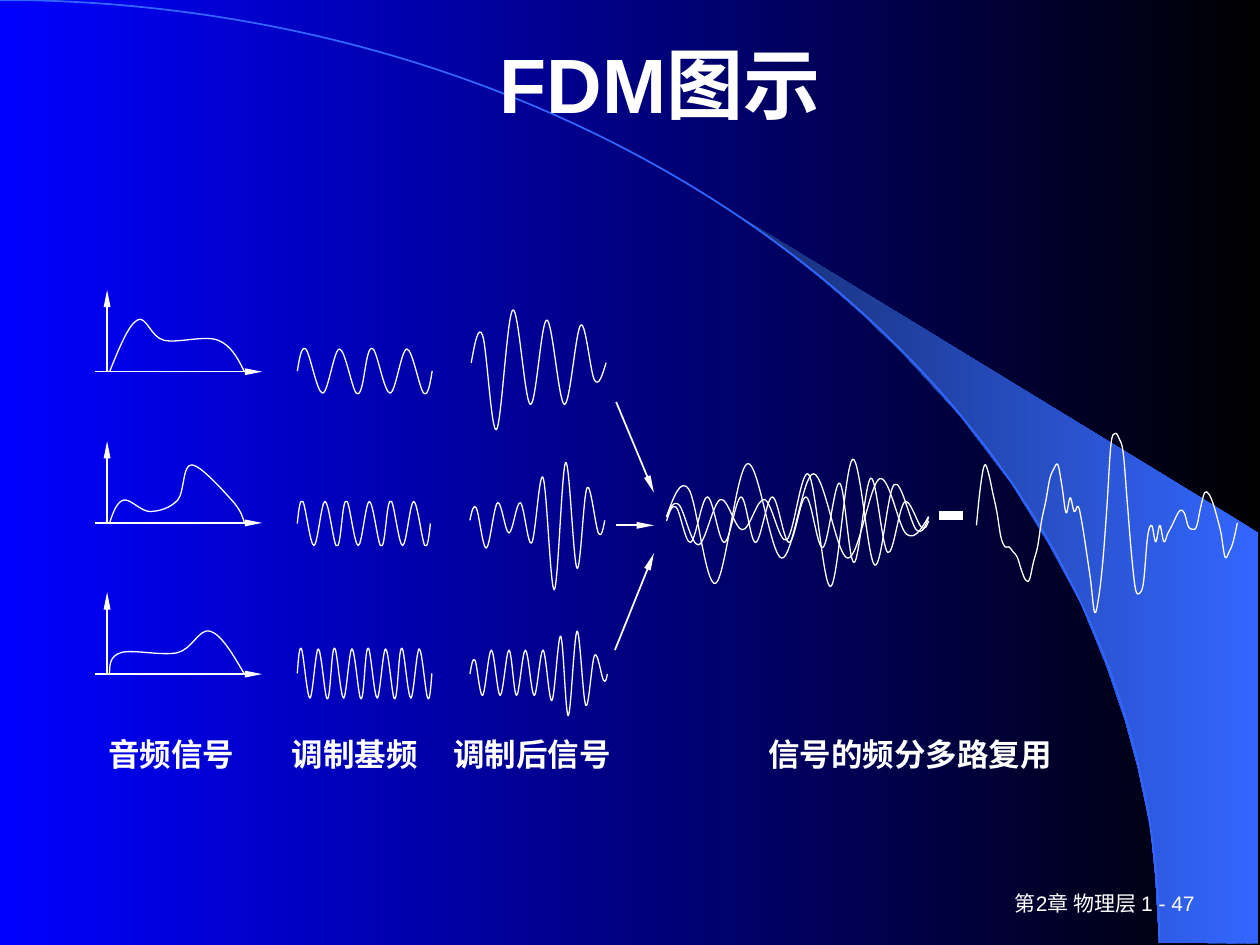
from lxml import etree
from pptx import Presentation
from pptx import util as u
from pptx.dml.color import RGBColor
from pptx.enum import shapes as kinds, text
from pptx.oxml.ns import qn

COLORS = {"ink": "FFFFFF", "night": "000000", "blue": "0000FF",
          "sky": "3366FF", "navy": "172F75"}
GRID = 0.72  # points per unit of the drawing grid used for curves and outlines
FONT = "Arial"

TITLE = ("FDM图示", (71.3, 15.1, 612, 64.8))
FOOTER = ("第2章 物理层 1 - 47", (540, 504, 149.8, 23.8))
LABEL_TOP, LABEL_HEIGHT = 416.2, 28.8
LABELS = [("音频信号", 54.7, 90.7), ("调制基频", 159.8, 90.7),
          ("调制后信号", 252, 107.3), ("信号的频分多路复用", 432, 198)]

WEDGE = [(920, 748), (999, 749), (999, 423), (589, 173), (624, 199), (653, 222),
         (685, 250), (716, 280), (762, 330), (803, 384), (832, 431), (858, 479),
         (878, 528), (893, 572), (903, 609), (913, 656), (917, 696)]

# Audio spectra, each above its own pair of axes
AUDIO = [
    [(87, 295), (109, 254), (130, 270), (173, 270), (194, 295)],
    [(87, 415), (98, 397), (119, 406), (141, 397), (152, 369), (184, 397), (194, 415)],
    [(87, 535), (96, 518), (141, 518), (167, 501), (194, 535)],
]
AXIS_LEFT, AXIS_X, AXIS_RIGHT = 54, 61.2, 149.8
AXIS_BASE, AXIS_HEIGHT, ROW_STEP = 212.4, 46.8, 86.4

# Carriers: middle line, amplitude, number of two-cycle pieces, piece width
CARRIER_LEFT = 236
CARRIERS = [(294.5, 17.5, 2, 53.5), (415.5, 17.5, 3, 35.2), (534.5, 19.5, 4, 26.7)]

# Modulated signals and the shift that brings each to the shared channel
MODULATED = [
    (122, [(374, 288), (383, 266), (394, 341), (407, 246), (421, 321), (434, 254),
           (448, 321), (461, 258), (472, 302), (481, 288)]),
    (-2.5, [(373, 413), (378, 403), (386, 435), (395, 399), (404, 423), (413, 399),
            (422, 431), (431, 379), (440, 468), (449, 367), (458, 451), (466, 387),
            (475, 423), (480, 413)]),
    (-121.5, [(373, 535), (377, 524), (383, 552), (390, 516), (397, 552), (404, 516),
              (410, 552), (417, 516), (424, 552), (431, 516), (438, 556), (445, 505),
              (451, 568), (458, 501), (465, 560), (472, 520), (479, 540), (482, 535)]),
]
CHANNEL_LEFT, CHANNEL_WIDTH = 529, 208

SUM_LEFT, SUM_WIDTH = 775, 207
SUM_HEIGHTS = [
    417, 386, 369, 376, 391, 406, 426, 434, 434, 438, 442, 452, 460, 460, 446, 434, 413,
    398, 380, 372, 369, 386, 407, 395, 406, 402, 417, 438, 460, 486, 474, 446, 403, 353,
    344, 348, 359, 398, 438, 467, 471, 462, 426, 417, 430, 417, 430, 423, 417, 410, 405,
    407, 418, 420, 418, 403, 391, 392, 399, 410, 423, 442, 438, 430, 415]

MERGE_ARROWS = [((352.1, 229.7), (373.7, 281.5)), ((352.1, 300.2), (373.7, 300.2)),
                ((351.4, 371.5), (373.7, 316.1))]
EQUALS_BAR = ((536.4, 294.5), (550.1, 294.5))


def rgb(name):
    return RGBColor.from_string(COLORS[name])


def set_all(target, values):
    for name, value in values.items():
        setattr(target, name, value)


def paint_gradient(fill, first, last):
    fill.gradient()
    fill.gradient_angle = 180
    for stop, name in zip(fill.gradient_stops, (first, last)):
        stop.color.rgb = rgb(name)


def set_line(shape, color, width):
    shape.line.color.rgb = rgb(color)
    shape.line.width = u.Pt(width)


def add_outline(slide, points, close=False):
    corners = [(u.Pt(x * GRID), u.Pt(y * GRID)) for x, y in points]
    builder = slide.shapes.build_freeform(*corners[0], scale=1.0)
    builder.add_line_segments(corners[1:], close=close)
    shape = builder.convert_to_shape()
    shape.shadow.inherit = False
    return shape


def curve_handles(knots):
    """Two control points per span; inner tangents join the neighbouring knots."""
    tangents = [((c[0] - a[0]) / 6, (c[1] - a[1]) / 6) for a, c in zip(knots, knots[2:])]
    before = [(x - dx, y - dy) for (x, y), (dx, dy) in zip(knots[1:], tangents)]
    after = [(x + dx, y + dy) for (x, y), (dx, dy) in zip(knots[1:], tangents)]

    def middle(a, b):
        return (a[0] + b[0]) / 2, (a[1] + b[1]) / 2

    starts = [middle(knots[0], before[0])] + after
    ends = before + [middle(knots[-1], after[-1])]
    return zip(starts, ends, knots[1:])


def add_curve(slide, points):
    """Smooth line through the points: an outline whose spans become Béziers."""
    shape = add_outline(slide, points)
    shape.fill.background()
    set_line(shape, "ink", 0.75)
    path = next(shape.element.iter(qn("a:path")))
    knots = [(int(p.get("x")), int(p.get("y"))) for p in path.iter(qn("a:pt"))]
    for span in path.findall(qn("a:lnTo")):
        path.remove(span)
    for span in curve_handles(knots):
        bezier = etree.SubElement(path, qn("a:cubicBezTo"))
        for x, y in span:
            etree.SubElement(bezier, qn("a:pt"), x=str(round(x)), y=str(round(y)))


def add_line(slide, start, end, width, arrow=True):
    line = slide.shapes.add_connector(
        kinds.MSO_CONNECTOR.STRAIGHT, *(u.Pt(value) for value in start + end))
    set_line(line, "ink", width)
    if arrow:
        etree.SubElement(line.line._get_or_add_ln(), qn("a:tailEnd"),
                         type="triangle", w="sm", len="lg")
    etree.SubElement(line.element.spPr, qn("a:effectLst"))


def write(shape, words, size, bold=False, align=text.PP_ALIGN.LEFT,
          anchor=text.MSO_ANCHOR.TOP, auto_size=text.MSO_AUTO_SIZE.NONE):
    frame = shape.text_frame
    frame.text = words
    set_all(frame, {"word_wrap": True, "auto_size": auto_size, "vertical_anchor": anchor})
    paragraph = frame.paragraphs[0]
    paragraph.alignment = align
    font = paragraph.runs[0].font
    set_all(font, {"name": FONT, "size": u.Pt(size), "bold": bold})
    font.color.rgb = rgb("ink")


def add_backdrop(slide):
    paint_gradient(slide.background.fill, "night", "blue")
    wedge = add_outline(slide, WEDGE, close=True)
    paint_gradient(wedge.fill, "sky", "navy")
    wedge.line.fill.background()
    arc = slide.shapes.add_shape(kinds.MSO_SHAPE.ARC, u.Pt(-662.4), 0,
                                 u.Pt(1324.8), u.Pt(1077.8))
    arc.shadow.inherit = False
    arc.fill.background()
    set_line(arc, "sky", 1)
    for shape in (arc, wedge):  # behind the title
        slide.shapes.element.insert(2, shape.element)


def add_signals(slide):
    for row, spectrum in enumerate(AUDIO):
        base = AXIS_BASE + row * ROW_STEP
        add_line(slide, (AXIS_X, base), (AXIS_X, base - AXIS_HEIGHT), 0.75)
        add_line(slide, (AXIS_LEFT, base), (AXIS_RIGHT, base), 0.75)
        add_curve(slide, spectrum)

    shape_of_piece = [(0, 0), (1, -1), (3, 1), (5, -1), (7, 1), (8, 0)]
    for middle, amplitude, count, width in CARRIERS:
        for piece in range(count):
            left = CARRIER_LEFT + piece * width
            add_curve(slide, [(left + eighth * width / 8, middle + level * amplitude)
                              for eighth, level in shape_of_piece])

    for shift, knots in MODULATED:
        add_curve(slide, knots)
        left = knots[0][0]
        stretch = CHANNEL_WIDTH / (knots[-1][0] - left)
        add_curve(slide, [(CHANNEL_LEFT + (x - left) * stretch, y + shift)
                          for x, y in knots])

    step = SUM_WIDTH / (len(SUM_HEIGHTS) - 1)
    add_curve(slide, [(SUM_LEFT + i * step, y) for i, y in enumerate(SUM_HEIGHTS)])

    for start, end in MERGE_ARROWS:
        add_line(slide, start, end, 1)
    add_line(slide, *EQUALS_BAR, 5, arrow=False)


def add_texts(slide):
    words, box = TITLE
    title = slide.shapes.title
    set_all(title, dict(zip(("left", "top", "width", "height"), map(u.Pt, box))))
    write(title, words, 44, True, text.PP_ALIGN.CENTER, text.MSO_ANCHOR.MIDDLE)
    words, box = FOOTER
    write(slide.shapes.add_textbox(*map(u.Pt, box)), words, 12,
          align=text.PP_ALIGN.RIGHT, anchor=text.MSO_ANCHOR.MIDDLE)
    for words, left, width in LABELS:
        box = (left, LABEL_TOP, width, LABEL_HEIGHT)
        write(slide.shapes.add_textbox(*map(u.Pt, box)), words, 18, True,
              auto_size=text.MSO_AUTO_SIZE.SHAPE_TO_FIT_TEXT)


def main():
    presentation = Presentation()
    set_all(presentation, {"slide_width": u.Pt(720), "slide_height": u.Pt(540)})
    slide = presentation.slides.add_slide(presentation.slide_layouts.get_by_name("Title Only"))
    add_backdrop(slide)
    add_signals(slide)
    add_texts(slide)
    presentation.save("out.pptx")


if __name__ == "__main__":
    main()
